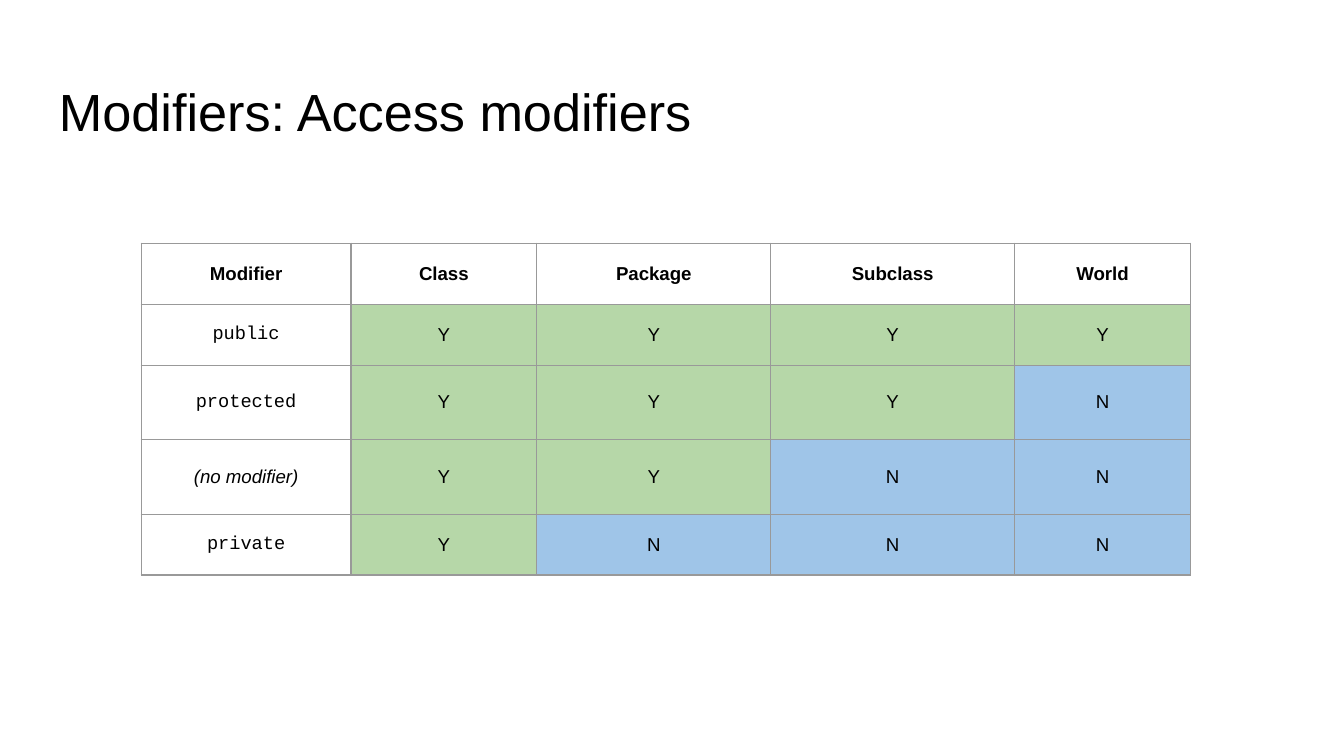
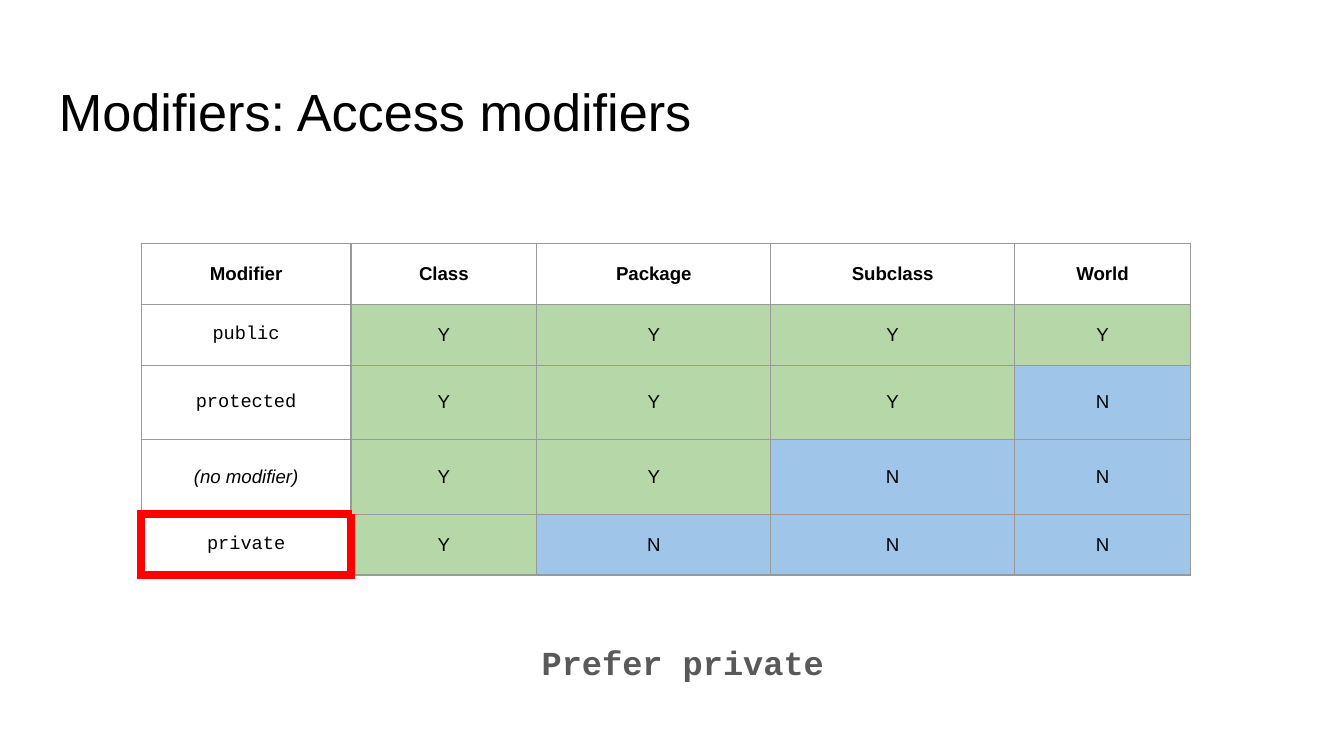
from pptx import Presentation
from pptx.dml.color import RGBColor
from pptx.enum import text
from pptx.oxml import parse_xml
from pptx.oxml.ns import nsdecls
from pptx.util import Inches, Pt

BLACK = RGBColor(0x00, 0x00, 0x00)
WHITE = RGBColor(0xFF, 0xFF, 0xFF)
GRAY = RGBColor(0x59, 0x59, 0x59)
RULE = RGBColor(0x99, 0x99, 0x99)
GREEN = RGBColor(0xB6, 0xD7, 0xA8)
BLUE = RGBColor(0x9F, 0xC5, 0xE8)
RED = RGBColor(0xFF, 0x00, 0x00)

SANS, MONO = "Arial", "Courier New"
PAD = Inches(0.1)
THIN, THICK = (RULE, 0.75), (RED, 4.5)

HEADS = ["Modifier", "Class", "Package", "Subclass", "World"]
ACCESS = {
    "public": "YYYY",
    "protected": "YYYN",
    "(no modifier)": "YYNN",
    "private": "YNNN",
}
FILLS = {"Y": GREEN, "N": BLUE}
WIDE, HIGH = 7.81, 2.47
WIDTHS = [1.56, 1.38, 1.74, 1.81, 1.31]
HEIGHTS = [0.45, 0.45, 0.55, 0.55, 0.45]


def style(para, size, font=SANS, color=BLACK, bold=False, italic=False):
    """Format every run of a paragraph, without pair kerning."""
    for run in para.runs:
        face = run.font
        face.name, face.size = font, Pt(size)
        face.bold, face.italic = bold, italic
        face.color.rgb = color
        run._r.get_or_add_rPr().set("kern", "0")


def add_text(slide, box, words):
    """Add a padded, wrapping text box and return its paragraph."""
    frame = slide.shapes.add_textbox(*map(Inches, box)).text_frame
    frame.word_wrap = True
    frame.margin_left = frame.margin_right = PAD
    frame.margin_top = frame.margin_bottom = PAD
    frame.text = words
    return frame.paragraphs[0]


def add_page(deck, title):
    """Add a white slide with its title."""
    slide = deck.slides.add_slide(deck.slide_layouts[6])
    slide.background.fill.solid()
    slide.background.fill.fore_color.rgb = WHITE
    style(add_text(slide, (0.34, 0.49, 9.32, 0.63), title), 28)
    return slide


def set_edges(cell, edges):
    """Draw the four borders; edges overrides the thin grey line by side."""
    props = cell._tc.get_or_add_tcPr()
    for spot, side in enumerate("LRTB"):
        color, width = edges.get(side, THIN)
        props.insert(spot, parse_xml(
            f'<a:ln{side} {nsdecls("a")} w="{Pt(width)}" cap="flat">'
            f'<a:solidFill><a:srgbClr val="{color}"/></a:solidFill>'
            f'<a:prstDash val="solid"/></a:ln{side}>'))


def fill_cell(cell, words, fill, edges, **look):
    """Write one centred cell with its borders and fill."""
    cell.text = words
    cell.vertical_anchor = text.MSO_ANCHOR.MIDDLE
    cell.margin_left = cell.margin_right = PAD
    cell.margin_top = cell.margin_bottom = PAD
    para = cell.text_frame.paragraphs[0]
    para.alignment = text.PP_ALIGN.CENTER
    style(para, 10, **look)
    set_edges(cell, edges)
    if fill is None:
        cell.fill.background()
    else:
        cell.fill.solid()
        cell.fill.fore_color.rgb = fill


def cell_look(row, col, words):
    """Choose the font of a cell from its place."""
    if row == 0:
        return {"bold": True}
    if col > 0:
        return {}
    return {"italic": True} if words.startswith("(") else {"font": MONO}


def frame_edges(row, col):
    """Give the thick borders that frame the cell at row, col."""
    return {
        (row, col): dict.fromkeys("LRTB", THICK),
        (row - 1, col): {"B": THICK},
        (row, col + 1): {"L": THICK},
    }


def share(total, parts):
    """Split a length in proportion to the parts."""
    return [Inches(total * part / sum(parts)) for part in parts]


def add_access(slide, marks):
    """Add the access table; marks maps a cell place to special borders."""
    rows = [HEADS] + [[name, *flags] for name, flags in ACCESS.items()]
    box = map(Inches, (1.05, 1.81, WIDE, HIGH))
    table = slide.shapes.add_table(len(rows), len(HEADS), *box).table
    table.first_row = table.horz_banding = False
    for col, width in zip(table.columns, share(WIDE, WIDTHS)):
        col.width = width
    for row, height in zip(table.rows, share(HIGH, HEIGHTS)):
        row.height = height
    for r, row in enumerate(rows):
        for c, words in enumerate(row):
            fill_cell(table.cell(r, c), words, FILLS.get(words),
                      marks.get((r, c), {}), **cell_look(r, c, words))


def add_advice(slide, words):
    """Add the centred advice below the table."""
    para = add_text(slide, (1.05, 4.63, 7.81, 0.71), words)
    para.alignment = text.PP_ALIGN.CENTER
    para.line_spacing = 1.15
    para.space_after = Pt(16)
    props = para._p.get_or_add_pPr()
    props.set("marL", str(Inches(0.5)))
    props.set("indent", str(Inches(-0.25)))
    style(para, 18, MONO, GRAY, bold=True)


def main():
    """Build the two slides."""
    deck = Presentation()
    deck.slide_width, deck.slide_height = Inches(10), Inches(10 * 9 / 16)
    title = "Modifiers: Access modifiers"
    add_access(add_page(deck, title), {})
    slide = add_page(deck, title)
    add_access(slide, frame_edges(len(ACCESS), 0))
    add_advice(slide, "Prefer private")
    deck.save("out.pptx")


main()
